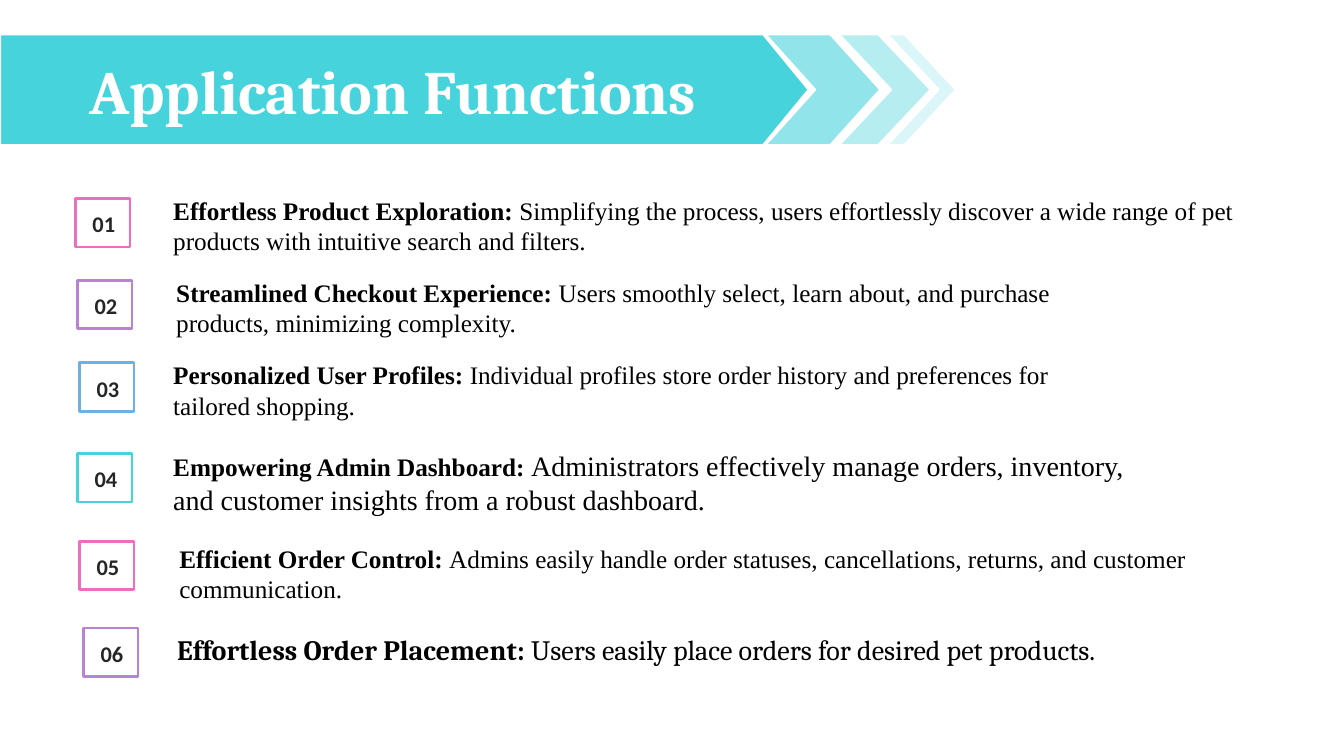
from dataclasses import dataclass

from pptx import Presentation
from pptx import util as u
from pptx.dml.color import RGBColor
from pptx.enum import shapes, text

PX = 9144  # EMU in one px, at 100 px to the inch


@dataclass(frozen=True)
class Theme:
    white: str = "FFFFFF"
    black: str = "000000"
    dark: str = "262626"
    pink: str = "EE6CC1"
    purple: str = "B982D5"
    blue: str = "6DB0E4"
    teal: str = "47D3DC"
    teal_mid: str = "91E5EA"
    teal_light: str = "B5EDF1"
    teal_pale: str = "DAF6F8"
    title_size: int = 44
    large_size: int = 20
    body_size: int = 18
    number_size: int = 16
    heading_font: str = "Cambria"
    body_font: str = "Times New Roman"
    number_font: str = "Calibri"


class Deck:
    def __init__(self, theme, width, height):
        self.theme = theme
        self.prs = Presentation()
        self.prs.slide_width, self.prs.slide_height = width * PX, height * PX
        self.s = self.prs.slides.add_slide(self.prs.slide_layouts[5])

    def frame(self, tf, anchor, **values):
        values = {"word_wrap": True, "vertical_anchor": anchor, **values}
        for name, value in values.items():
            setattr(tf, name, value)
        return tf

    def run(self, p, words, color, **values):
        r = p.add_run()
        r.text = words
        for name, value in values.items():
            setattr(r.font, name, u.Pt(value) if name == "size" else value)
        r.font.color.rgb = RGBColor.from_string(color)

    def shape(self, kind, box, fill, line, weight, adjust=None):
        sp = self.s.shapes.add_shape(kind, *(n * PX for n in box))
        sp.shadow.inherit = False
        sp.fill.solid()
        sp.fill.fore_color.rgb = RGBColor.from_string(fill)
        sp.line.color.rgb = RGBColor.from_string(line)
        sp.line.width = u.Pt(weight)
        if adjust is not None:
            sp.adjustments[0] = adjust
        return sp

    def title(self, words, box):
        t = self.theme
        sp = self.s.shapes.title
        sp.left, sp.top, sp.width, sp.height = (n * PX for n in box)
        # Bring the title in front of the banner
        self.s.shapes._spTree.append(sp._element)
        tf = self.frame(sp.text_frame, text.MSO_ANCHOR.MIDDLE,
                        auto_size=text.MSO_AUTO_SIZE.NONE)
        p = tf.paragraphs[0]
        p.alignment = text.PP_ALIGN.CENTER
        self.run(p, words, t.white, name=t.heading_font,
                 size=t.title_size, bold=True)

    def number(self, words, left, top, color):
        t = self.theme
        sp = self.shape(shapes.MSO_SHAPE.RECTANGLE, (left, top, 54, 48),
                        t.white, color, 2)
        tf = self.frame(sp.text_frame, text.MSO_ANCHOR.MIDDLE, margin_left=2 * PX,
                        margin_right=0, margin_top=2 * PX, margin_bottom=0)
        p = tf.paragraphs[0]
        p.alignment = text.PP_ALIGN.CENTER
        self.run(p, words, t.dark, name=t.number_font,
                 size=t.number_size, bold=True)

    def description(self, box, heading, detail, font, sizes):
        sp = self.s.shapes.add_textbox(*(n * PX for n in box))
        tf = self.frame(sp.text_frame, text.MSO_ANCHOR.TOP,
                        auto_size=text.MSO_AUTO_SIZE.SHAPE_TO_FIT_TEXT)
        parts = ((heading + ": ", True), (detail, False))
        for (words, bold), size in zip(parts, sizes):
            self.run(tf.paragraphs[0], words, self.theme.black,
                     name=font, size=size, bold=bold)


def main():
    t = Theme()
    deck = Deck(t, 1333, 750)

    # Banner: kind, left, width, point depth, fill
    chevron, plate = shapes.MSO_SHAPE.CHEVRON, shapes.MSO_SHAPE.PENTAGON
    banner = [
        (chevron, 832, 91, 0.57, t.teal_light),
        (plate, 0, 802, 0.41, t.teal),
        (chevron, 880, 68, 0.75, t.teal_pale),
        (chevron, 759, 114, 0.45, t.teal_mid),
    ]
    for kind, left, width, depth, fill in banner:
        deck.shape(kind, (left, 34, width, 110), fill, t.white, 1.5, depth)
    deck.title("Application Functions", (0, 34, 780, 110))

    # Functions: number position, colour, text box, heading, detail, font, sizes
    body = (t.body_size, t.body_size)
    mixed = (t.body_size, t.large_size)
    large = (t.large_size, t.large_size)
    functions = [
        (75, 197, t.pink, (162, 189, 1086, 71), "Effortless Product Exploration",
         "Simplifying the process, users effortlessly discover a wide range of "
         "pet products with intuitive search and filters.", t.body_font, body),
        (77, 278, t.purple, (165, 270, 970, 71), "Streamlined Checkout Experience",
         "Users smoothly select, learn about, and purchase products, "
         "minimizing complexity.", t.body_font, body),
        (79, 360, t.blue, (162, 352, 970, 71), "Personalized User Profiles",
         "Individual profiles store order history and preferences for "
         "tailored shopping.", t.body_font, body),
        (77, 450, t.teal, (162, 440, 970, 77), "Empowering Admin Dashboard",
         "Administrators effectively manage orders, inventory, and customer "
         "insights from a robust dashboard.", t.body_font, mixed),
        (79, 537, t.pink, (168, 534, 1086, 71), "Efficient Order Control",
         "Admins easily handle order statuses, cancellations, returns, and "
         "customer communication.", t.body_font, body),
        (83, 623, t.purple, (166, 623, 970, 44), "Effortless Order Placement",
         "Users easily place orders for desired pet products.",
         t.heading_font, large),
    ]
    for i, (left, top, color, *entry) in enumerate(functions, 1):
        deck.number(f"{i:02}", left, top, color)
        deck.description(*entry)

    deck.prs.save("out.pptx")


if __name__ == "__main__":
    main()
